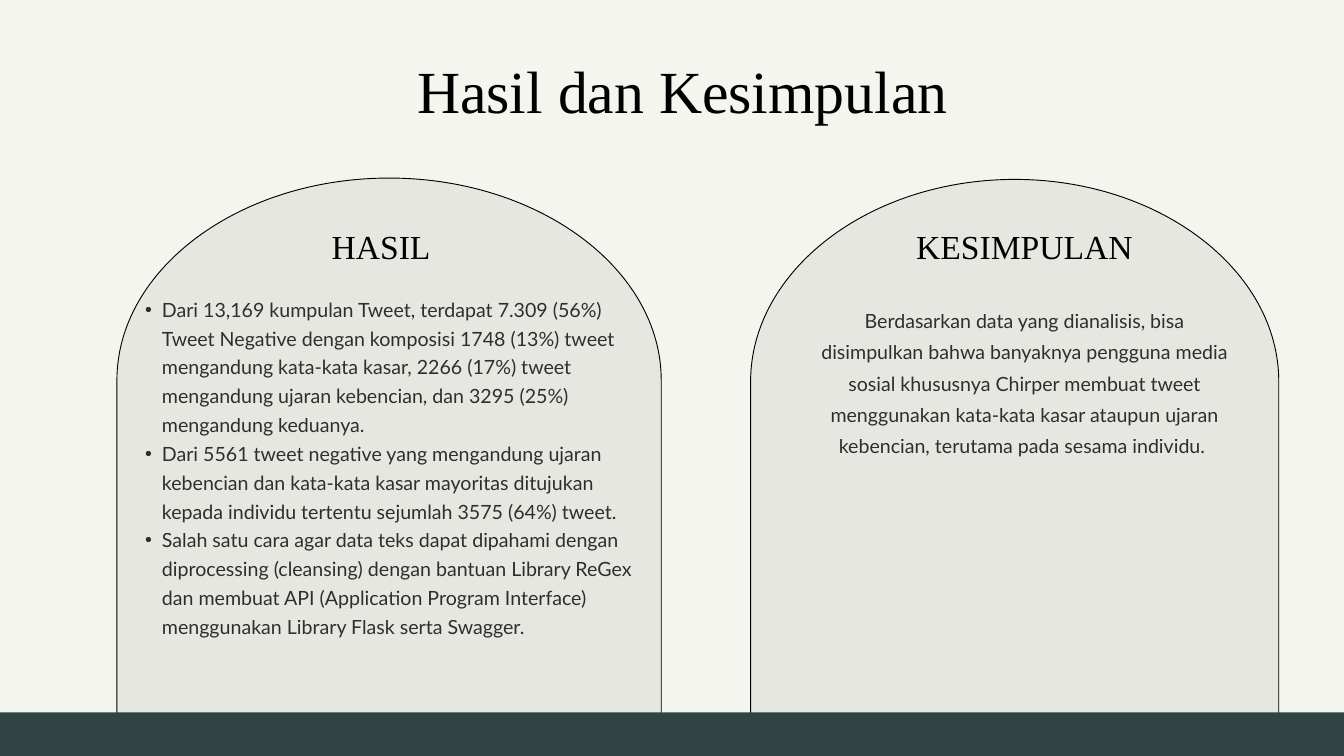
from lxml import etree
from pptx import Presentation
from pptx.dml.color import RGBColor
from pptx.enum.shapes import MSO_SHAPE
from pptx.enum.text import MSO_ANCHOR, MSO_AUTO_SIZE, PP_ALIGN
from pptx.oxml.ns import qn
from pptx.util import Inches, Pt

LEFT, CENTER = PP_ALIGN.LEFT, PP_ALIGN.CENTER
TOP = MSO_ANCHOR.TOP
NO_AUTOFIT = MSO_AUTO_SIZE.NONE
RECTANGLE = MSO_SHAPE.RECTANGLE

CREAM = RGBColor(0xF5, 0xF5, 0xEF)
GRAY = RGBColor(0x73, 0x73, 0x73)
GREEN = RGBColor(0x30, 0x45, 0x43)
BLACK = RGBColor(0, 0, 0)

SERIF, SANS = "Times New Roman", "Lato"
WIDTH, HEIGHT = 20, 11.25
COMPARISON_LAYOUT = 4
QUARTER_ELLIPSE = 0.55  # control point distance as a share of the radius

RESULTS = [
    "Dari 13,169 kumpulan Tweet, terdapat 7.309 (56%) Tweet Negative dengan komposisi "
    "1748 (13%) tweet mengandung kata-kata kasar, 2266 (17%) tweet mengandung ujaran "
    "kebencian, dan 3295 (25%) mengandung keduanya.",
    "Dari 5561 tweet negative yang mengandung ujaran kebencian dan kata-kata kasar "
    "mayoritas ditujukan kepada individu tertentu sejumlah 3575 (64%) tweet.",
    "Salah satu cara agar data teks dapat dipahami dengan diprocessing (cleansing) "
    "dengan bantuan Library ReGex dan membuat API (Application Program Interface) "
    "menggunakan Library Flask serta Swagger.",
]
CONCLUSION = [
    "Berdasarkan data yang dianalisis, bisa disimpulkan bahwa banyaknya pengguna media "
    "sosial khususnya Chirper membuat tweet menggunakan kata-kata kasar ataupun ujaran "
    "kebencian, terutama pada sesama individu. ",
]


def set_opacity(shape, percent):
    """Apply opacity to every colour the shape holds so far."""
    for color in shape.element.iter(qn("a:srgbClr")):
        etree.SubElement(color, qn("a:alpha")).set("val", str(percent * 1000))


def merge_into_curve(lines):
    """Turn three line segments into one Bézier curve through the same points."""
    curve = etree.Element(qn("a:cubicBezTo"))
    lines[0].addprevious(curve)
    for line in lines:
        curve.append(line[0])
        line.getparent().remove(line)


def set_bullet(paragraph, bullet):
    properties = paragraph._p.get_or_add_pPr()
    properties.set("marL", str(Inches(0.5 if bullet else 0)))
    properties.set("indent", str(Inches(-0.25 if bullet else 0)))
    if bullet:
        etree.SubElement(properties, qn("a:buChar")).set("char", bullet)
    else:
        etree.SubElement(properties, qn("a:buNone"))


def write_text(frame, texts, *, size, spacing, font=SERIF, align=CENTER, bullet=None):
    for index, text in enumerate(texts):
        paragraph = frame.paragraphs[0] if index == 0 else frame.add_paragraph()
        set_bullet(paragraph, bullet)
        paragraph.alignment = align
        paragraph.line_spacing = Pt(spacing)
        paragraph.space_before = Pt(0)
        run = paragraph.add_run()
        run.text = text
        run.font.name = font
        run.font.size = Pt(size)
        run.font.bold = False
        run.font.color.rgb = BLACK


class SlideBuilder:
    def __init__(self, slide):
        self.slide = slide
        self.slide.background.fill.solid()
        self.slide.background.fill.fore_color.rgb = CREAM

    def placeholder(self, index, box, texts, opacity=100, **text_format):
        shape = self.slide.placeholders[index]
        shape.left, shape.top, shape.width, shape.height = map(Inches, box)
        frame = shape.text_frame
        frame.margin_left = frame.margin_right = 0
        frame.margin_top = frame.margin_bottom = 0
        frame.vertical_anchor = TOP
        frame.auto_size = NO_AUTOFIT
        frame.word_wrap = True
        write_text(frame, texts, **text_format)
        if opacity < 100:
            set_opacity(shape, opacity)

    def heading(self, index, box, text):
        self.placeholder(index, box, [text], size=36, spacing=50.4)

    def body(self, index, box, texts, **text_format):
        self.placeholder(index, box, texts, opacity=80, size=21, font=SANS, **text_format)

    def arch(self, left, top, width, height=8.6, rise=3.01):
        """Draw a half-ellipse on straight sides, behind the text."""
        radius = width / 2
        center, right, bottom = left + radius, left + width, top + height
        shoulder = top + rise
        reach = radius * QUARTER_ELLIPSE
        control = shoulder - rise * QUARTER_ELLIPSE
        points = [
            (center + reach, top), (right, control), (right, shoulder),
            (right, bottom), (left, bottom), (left, shoulder),
            (left, control), (center - reach, top), (center, top),
        ]
        builder = self.slide.shapes.build_freeform(Inches(center), Inches(top))
        builder.add_line_segments([(Inches(x), Inches(y)) for x, y in points])
        shape = builder.convert_to_shape()
        lines = list(shape.element.iter(qn("a:lnTo")))
        merge_into_curve(lines[:3])
        merge_into_curve(lines[6:9])
        shape.shadow.inherit = False
        shape.fill.solid()
        shape.fill.fore_color.rgb = GRAY
        set_opacity(shape, 10)
        shape.line.color.rgb = BLACK
        shape.line.width = Pt(1)
        self.slide.shapes.title.element.addprevious(shape.element)

    def bar(self, top, height, color):
        shape = self.slide.shapes.add_shape(
            RECTANGLE, 0, Inches(top), Inches(WIDTH), Inches(height))
        shape.shadow.inherit = False
        shape.fill.solid()
        shape.fill.fore_color.rgb = color
        shape.line.fill.background()


def main():
    presentation = Presentation()
    presentation.slide_width = Inches(WIDTH)
    presentation.slide_height = Inches(HEIGHT)
    layout = presentation.slide_layouts[COMPARISON_LAYOUT]
    builder = SlideBuilder(presentation.slides.add_slide(layout))

    builder.arch(1.74, 2.65, 8.1)
    builder.arch(11.17, 2.67, 7.86)
    builder.placeholder(0, (5.06, 0.62, 10.19, 1.19), ["Hasil dan Kesimpulan"],
                        size=64, spacing=89.6)
    builder.heading(1, (1.91, 3.26, 7.52, 0.61), "HASIL")
    builder.body(2, (1.91, 4.35, 7.52, 5.09), RESULTS,
                 spacing=30.9, align=LEFT, bullet="•")
    builder.heading(3, (12.13, 3.26, 6.23, 0.65), "KESIMPULAN")
    builder.body(4, (12.13, 4.48, 6.23, 2.25), CONCLUSION, spacing=33.6)
    builder.bar(10.6, 0.88, GREEN)

    presentation.save("out.pptx")


if __name__ == "__main__":
    main()
